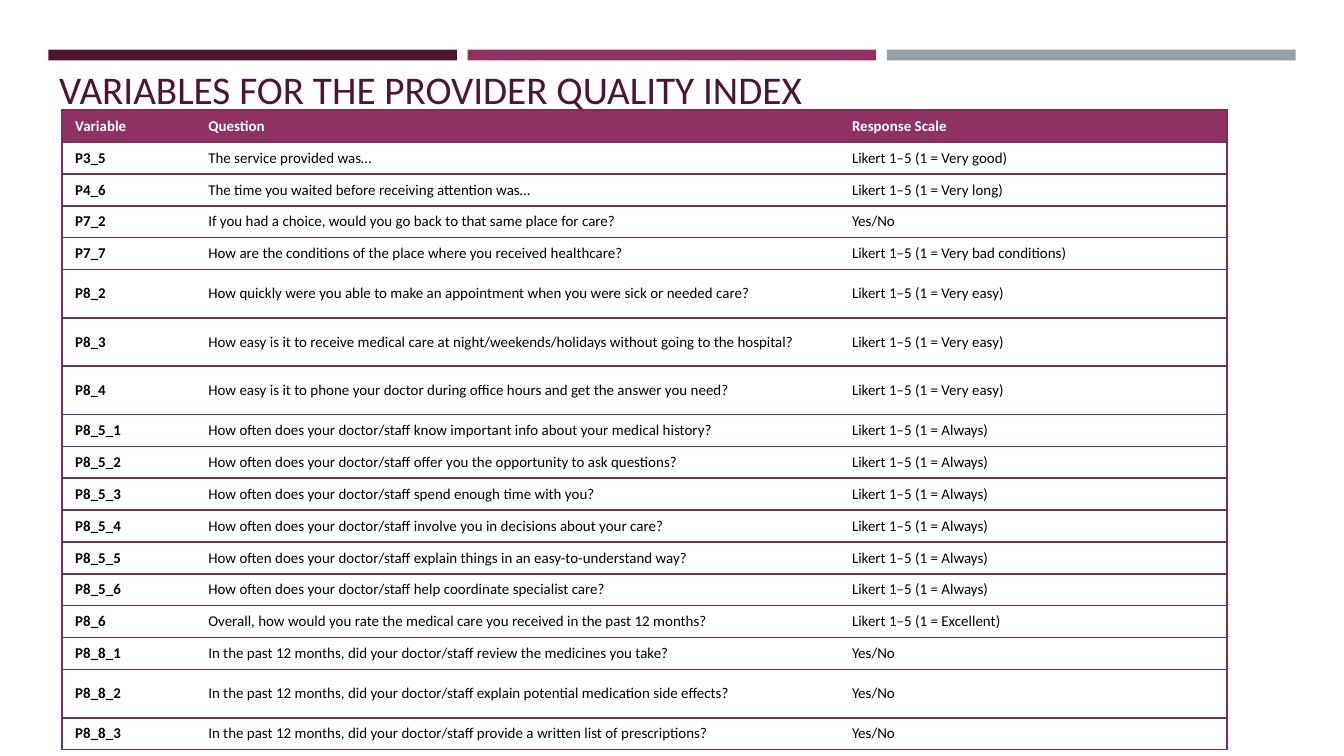
import pptx
import pptx.dml.color
import pptx.enum.shapes
import pptx.enum.text
import pptx.oxml
import pptx.oxml.ns
import pptx.util

FONT = "Calibri"
PLUM, MAGENTA, GRAY = "4D1434", "903163", "969FA7"
RULE, WHITE, BLACK = "822C59", "FFFFFF", "000000"
SLIDE_WIDTH = 10
SLIDE_HEIGHT = SLIDE_WIDTH * 9 / 16
COLUMN_WIDTHS = (0.99, 4.79, 2.89)
ROW_HEIGHT, TALL_HEIGHT = 0.23, 0.36
TALL_ROWS = {"P8_2", "P8_3", "P8_4", "P8_8_2"}

HEADINGS = ("Variable", "Question", "Response Scale")
OFTEN = "How often does your doctor/staff "
PAST_YEAR = "In the past 12 months, did your doctor/staff "
VARIABLES = [
    ("P3_5", "The service provided was…", "Very good"),
    ("P4_6", "The time you waited before receiving attention was…", "Very long"),
    ("P7_2", "If you had a choice, would you go back to that same place for care?", None),
    ("P7_7", "How are the conditions of the place where you received healthcare?",
     "Very bad conditions"),
    ("P8_2", "How quickly were you able to make an appointment when you were sick "
     "or needed care?", "Very easy"),
    ("P8_3", "How easy is it to receive medical care at night/weekends/holidays "
     "without going to the hospital?", "Very easy"),
    ("P8_4", "How easy is it to phone your doctor during office hours and get the "
     "answer you need?", "Very easy"),
    ("P8_5_1", OFTEN + "know important info about your medical history?", "Always"),
    ("P8_5_2", OFTEN + "offer you the opportunity to ask questions?", "Always"),
    ("P8_5_3", OFTEN + "spend enough time with you?", "Always"),
    ("P8_5_4", OFTEN + "involve you in decisions about your care?", "Always"),
    ("P8_5_5", OFTEN + "explain things in an easy-to-understand way?", "Always"),
    ("P8_5_6", OFTEN + "help coordinate specialist care?", "Always"),
    ("P8_6", "Overall, how would you rate the medical care you received in the "
     "past 12 months?", "Excellent"),
    ("P8_8_1", PAST_YEAR + "review the medicines you take?", None),
    ("P8_8_2", PAST_YEAR + "explain potential medication side effects?", None),
    ("P8_8_3", PAST_YEAR + "provide a written list of prescriptions?", None),
]


def inches(*lengths):
    return [pptx.util.Inches(length) for length in lengths]


def color(value):
    return pptx.dml.color.RGBColor.from_string(value)


def write(frame, text, size=8, fill=BLACK, bold=False, spacing=1.0):
    """Put one left-aligned paragraph in a text frame."""
    para = frame.paragraphs[0]
    para.alignment = pptx.enum.text.PP_ALIGN.LEFT
    para.line_spacing = spacing
    span = para.add_run()
    span.text = text
    span.font.name, span.font.size = FONT, pptx.util.Pt(size)
    span.font.bold, span.font.color.rgb = bold, color(fill)


def add_bars(page):
    """Three equal bars across the top."""
    for column, fill in enumerate((PLUM, MAGENTA, GRAY)):
        bar = page.shapes.add_shape(
            pptx.enum.shapes.MSO_SHAPE.RECTANGLE,
            *inches(0.36 + 3.12 * column, 0.37, 3.04, 0.08))
        bar.shadow.inherit = False
        bar.fill.solid()
        bar.fill.fore_color.rgb = color(fill)
        bar.line.fill.background()


def add_title(page, text):
    title = page.shapes.title
    title.left, title.top, title.width, title.height = inches(0.34, 0.37, 9.32, 0.63)
    frame = title.text_frame
    frame.word_wrap = True
    frame.vertical_anchor = pptx.enum.text.MSO_ANCHOR.MIDDLE
    frame.margin_left = frame.margin_right = pptx.util.Inches(0.1)
    frame.margin_top = frame.margin_bottom = pptx.util.Inches(0.1)
    write(frame, text, size=21, fill=PLUM, spacing=0.85)
    # Keep the title in front of the bars
    page.shapes.element.append(title.element)


def set_borders(cell, visible):
    """Rule the visible sides of a cell and clear the others."""
    properties = cell._tc.get_or_add_tcPr()
    for side in "LRTB":
        paint = (f'<a:solidFill><a:srgbClr val="{RULE}"/></a:solidFill>'
                 if side in visible else "<a:noFill/>")
        properties.append(pptx.oxml.parse_xml(
            f'<a:ln{side} {pptx.oxml.ns.nsdecls("a")} w="12700">{paint}</a:ln{side}>'))


def add_variable_table(page):
    records = [HEADINGS] + [
        (name, question, f"Likert 1–5 (1 = {best})" if best else "Yes/No")
        for name, question, best in VARIABLES]
    table = page.shapes.add_table(
        len(records), len(HEADINGS), *inches(0.46, 0.82, sum(COLUMN_WIDTHS), 4.71)).table
    table.horz_banding = False
    for column, width in zip(table.columns, COLUMN_WIDTHS):
        column.width = pptx.util.Inches(width)

    for row, record in enumerate(records):
        height = TALL_HEIGHT if record[0] in TALL_ROWS else ROW_HEIGHT
        table.rows[row].height = pptx.util.Inches(height)
        for column, text in enumerate(record):
            cell = table.cell(row, column)
            set_borders(cell, "TB" + ("L", "", "R")[column])
            header = row == 0
            if header:
                cell.fill.solid()
                cell.fill.fore_color.rgb = color(MAGENTA)
            else:
                cell.fill.background()
            cell.vertical_anchor = pptx.enum.text.MSO_ANCHOR.MIDDLE
            write(cell.text_frame, text, fill=WHITE if header else BLACK,
                  bold=header or column == 0)


def main():
    deck = pptx.Presentation()
    deck.slide_width, deck.slide_height = inches(SLIDE_WIDTH, SLIDE_HEIGHT)
    page = deck.slides.add_slide(deck.slide_layouts[5])
    add_bars(page)
    add_title(page, "VARIABLES FOR THE PROVIDER QUALITY INDEX")
    add_variable_table(page)
    deck.save("out.pptx")


if __name__ == "__main__":
    main()
